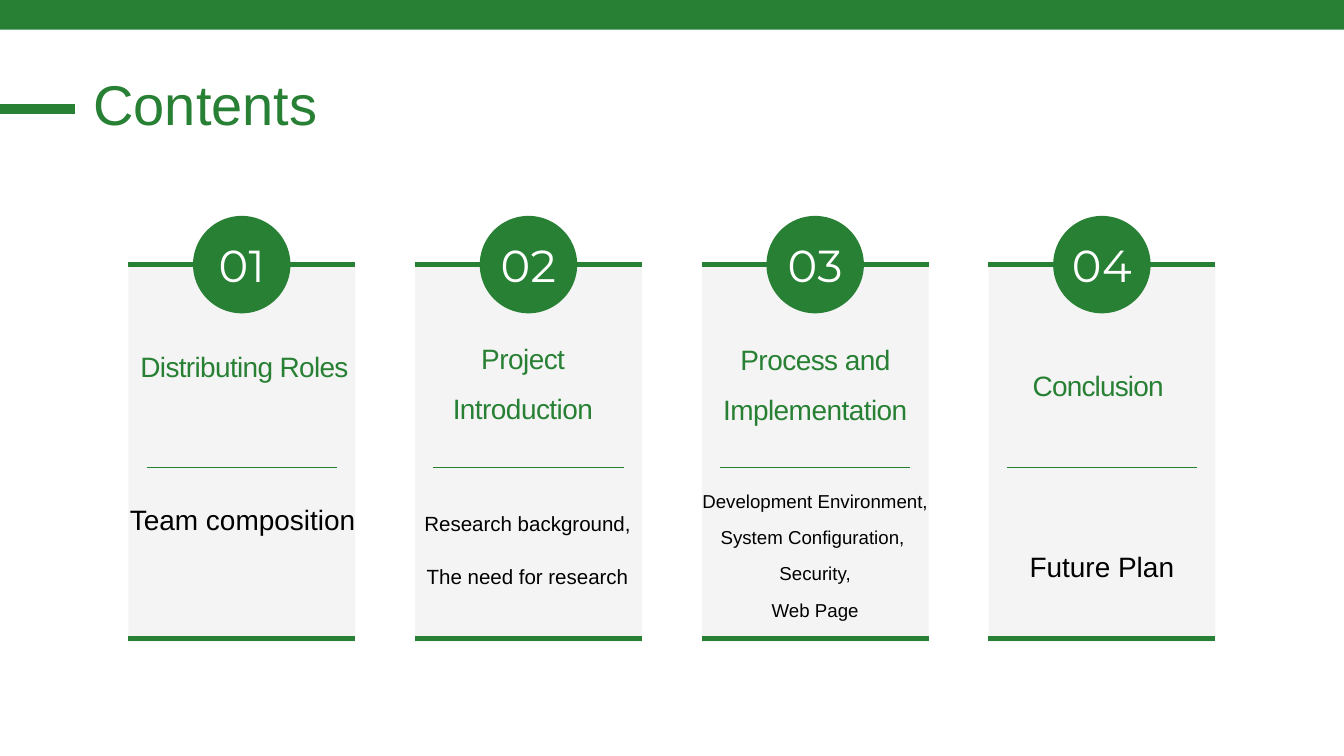
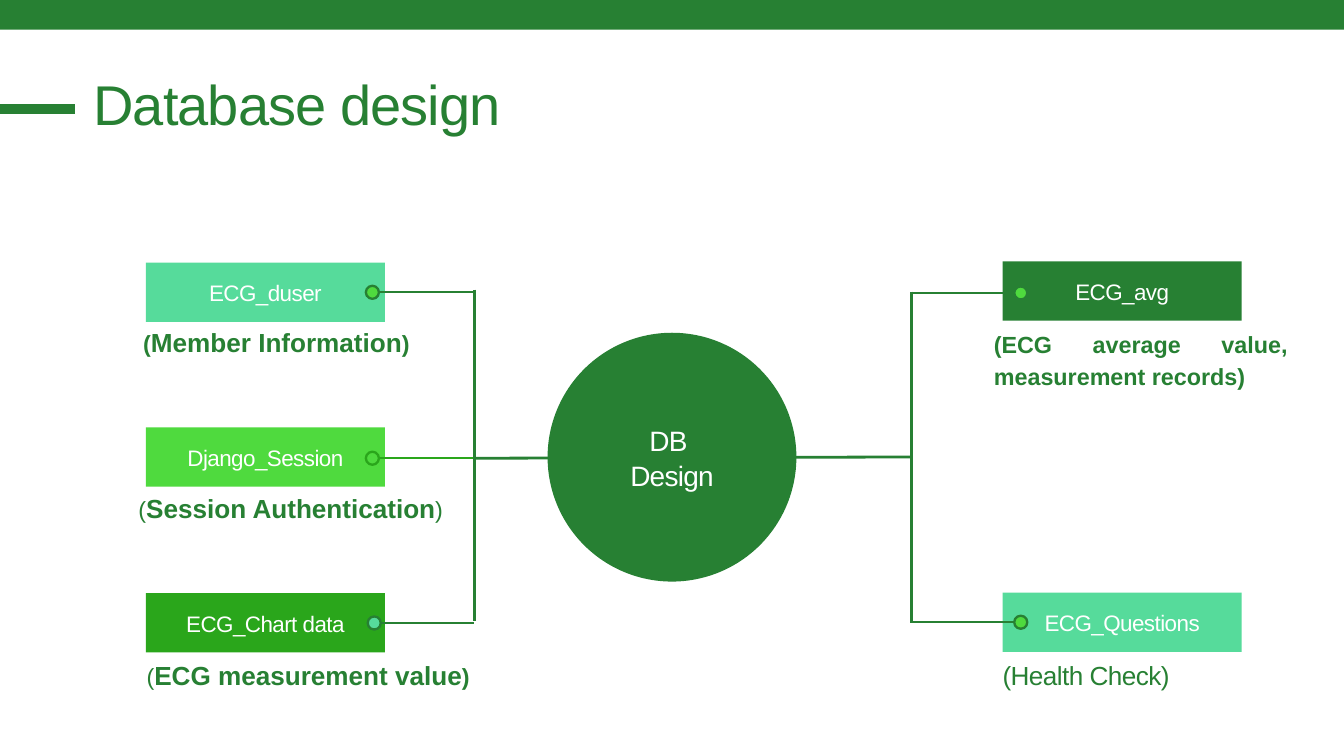
import pptx
import pptx.dml.color
import pptx.enum.shapes
import pptx.enum.text
import pptx.oxml.ns
import pptx.util
import lxml.etree

Pt = pptx.util.Pt
RGBColor = pptx.dml.color.RGBColor
SHAPES = pptx.enum.shapes.MSO_SHAPE
ALIGN = pptx.enum.text.PP_ALIGN
ANCHOR = pptx.enum.text.MSO_ANCHOR

GREEN = RGBColor(0x27, 0x80, 0x33)
LEAF = RGBColor(0x2A, 0xA6, 0x1B)
LIME = RGBColor(0x4F, 0xDA, 0x3E)
MINT = RGBColor(0x56, 0xDB, 0x9B)
PALE = RGBColor(0xF4, 0xF4, 0xF4)
WHITE = RGBColor(0xFF, 0xFF, 0xFF)
BLACK = RGBColor(0x00, 0x00, 0x00)

SLIDE_WIDTH, SLIDE_HEIGHT = 1440, 810
FONT, NUMBER_FONT = "Arial", "Montserrat"

# Contents cards: heading and body, each with (x, y) offsets in the card
CARD_WIDTH, CARD_HEIGHT, CARD_STEP = 243, 404, 307.2
CARD_LEFT, CARD_TOP = 137.5, 283.5
CARDS = [
    ("Distributing Roles", (3, 73), -0.7,
     ["Team composition"], (1, 233.5), 30, 57),
    ("Project Introduction", (-6, 64), -0.6,
     ["Research background,", "The need for research"], (-1, 233.5), 22, 57),
    ("Process and Implementation", (0, 65), -0.6,
     ["Development Environment,", "System Configuration, ", "Security,", "Web Page"],
     (0, 226), 20, 39),
    ("Conclusion", (-4, 93), -0.9, ["Future Plan"], (0, 284), 30, 57),
]

# Database tables: name, box position, fill, pin centre, pin fill, pin line
TABLE_WIDTH, TABLE_HEIGHT = 256.3, 63.5
LEFT_SPINE, RIGHT_SPINE = 508.3, 977
TABLES = [
    ("ECG_duser", (156.2, 281.5), MINT, (399, 313.2), LIME, GREEN),
    ("Django_Session", (156.2, 458), LIME, (399, 491), LIME, LEAF),
    ("ECG_Chart data", (156.2, 635.6), LEAF, (401, 667.5), MINT, GREEN),
    ("ECG_avg", (1074.2, 280), GREEN, (1093.7, 313.9), LIME, GREEN),
    ("ECG_Questions", (1074.2, 635), MINT, (1093.7, 666.7), LIME, GREEN),
]

# Captions: box, then runs of (text, size, bold, letter spacing)
CAPTIONS = [
    ((153.4, 348.5, 353.5, 32), [("(", 25, True, -0.6),
                                 ("Member Information", 28, True, 0),
                                 (")", 25, True, -0.6)]),
    ((148.3, 526.3, 358.6, 33), [("(", 25, False, -0.6),
                                 ("Session Authentication", 28, True, 0),
                                 (")", 25, False, -0.6)]),
    ((157, 705.6, 350, 33), [("(", 25, False, -0.6),
                             ("ECG measurement value", 28, True, 0),
                             (")", 25, True, -0.6)]),
    ((1064.9, 348.5, 314.6, 68), [("(", 25, True, -0.6),
                                  ("ECG average value, measurement records", 25, True, 0),
                                  (")", 25, True, -0.6)]),
    ((1074.2, 705.6, 222, 33), [("(Health Check)", 28, False, -0.6)]),
]


def format_run(run, size, color, font=FONT, bold=False, spacing=0):
    run.font.name = font
    run.font.size = Pt(size)
    run.font.bold = bold
    run.font.color.rgb = color
    if spacing:
        run._r.get_or_add_rPr().set("spc", str(round(spacing * 100)))


def write(shape, lines, size, color, line_spacing, align=ALIGN.CENTER,
          anchor=ANCHOR.TOP, wrap=True, **run_format):
    """Fill a shape with paragraphs of one style."""
    text_frame = shape.text_frame
    text_frame.margin_left = text_frame.margin_right = 0
    text_frame.margin_top = text_frame.margin_bottom = 0
    text_frame.word_wrap = wrap
    text_frame.vertical_anchor = anchor
    text_frame.text = "\n".join(lines)
    for paragraph in text_frame.paragraphs:
        paragraph.alignment = align
        paragraph.line_spacing = line_spacing
        for run in paragraph.runs:
            format_run(run, size, color, **run_format)


def add_text(slide, box, *content, **style):
    shape = slide.shapes.add_textbox(*map(Pt, box))
    write(shape, *content, **style)


def add_filled(slide, preset, box, fill, line=None, weight=0):
    shape = slide.shapes.add_shape(preset, *map(Pt, box))
    shape.shadow.inherit = False
    shape.fill.solid()
    shape.fill.fore_color.rgb = fill
    if line is None:
        shape.line.fill.background()
    else:
        shape.line.color.rgb = line
        shape.line.width = Pt(weight)
    return shape


def add_line(slide, start, end, weight, color=GREEN):
    connector = slide.shapes.add_connector(
        pptx.enum.shapes.MSO_CONNECTOR.STRAIGHT, *map(Pt, start + end))
    connector.line.color.rgb = color
    connector.line.width = Pt(weight)
    lxml.etree.SubElement(connector._element.spPr, pptx.oxml.ns.qn("a:effectLst"))


def circle_box(x, y, diameter):
    return x - diameter / 2, y - diameter / 2, diameter, diameter


def add_frame(slide, title, spacing=0):
    """Top band, title dash and title, shared by all slides."""
    add_filled(slide, SHAPES.RECTANGLE, (0, 0, SLIDE_WIDTH, 31.7), GREEN)
    add_line(slide, (0, 116.6), (80.6, 116.6), 11.25)
    add_text(slide, (100, 80, 520.5, 67), [title], 60, GREEN, Pt(66),
             align=ALIGN.LEFT, spacing=spacing)


def add_card(slide, left, top, number, card):
    heading, heading_at, spacing, body, body_at, body_size, body_line = card
    right, middle = left + CARD_WIDTH, left + CARD_WIDTH / 2
    # Panel with its top, bottom and inner rules
    add_filled(slide, SHAPES.RECTANGLE, (left, top, CARD_WIDTH, CARD_HEIGHT), PALE)
    for offset, inset, weight in ((0, 0, 5), (400.5, 0, 5), (217.6, 19.5, 1.5)):
        add_line(slide, (left + inset, top + offset), (right - inset, top + offset), weight)
    # Number badge
    badge = add_filled(slide, SHAPES.OVAL, circle_box(middle, top, 104.4), GREEN)
    write(badge, [f"{number:02}"], 48, WHITE, Pt(57.6), anchor=ANCHOR.MIDDLE,
          wrap=False, font=NUMBER_FONT, spacing=0.5)
    # Heading and body
    add_text(slide, (left + heading_at[0], top + heading_at[1], CARD_WIDTH, 103),
             [heading], 30, GREEN, 1.5, spacing=spacing)
    overhang = 7
    add_text(slide, (left + body_at[0] - overhang, top + body_at[1],
                     CARD_WIDTH + 2 * overhang, body_line * len(body)),
             body, body_size, BLACK, Pt(body_line))


def add_table_box(slide, name, position, fill):
    box = add_filled(slide, SHAPES.RECTANGLE, position + (TABLE_WIDTH, TABLE_HEIGHT), fill)
    write(box, [name], 24, WHITE, Pt(30), anchor=ANCHOR.MIDDLE, spacing=-0.6)


def add_pin(slide, center, fill, line):
    """Ringed dot with a line to the spine on its side."""
    x, y = center
    radius = 7
    on_left = x < SLIDE_WIDTH / 2
    spine, edge = (LEFT_SPINE, x + radius) if on_left else (RIGHT_SPINE, x - radius)
    add_line(slide, (edge, y), (spine, y), 2.5, line)
    add_filled(slide, SHAPES.OVAL, circle_box(x, y, 2 * radius), fill, line, 2.5)


def add_hub(slide):
    """Spines, the line between them and the central circle."""
    add_line(slide, (LEFT_SPINE, 310.3), (LEFT_SPINE, 665.3), 3)
    add_line(slide, (RIGHT_SPINE, 312.5), (RIGHT_SPINE, 667.4), 3)
    add_line(slide, (LEFT_SPINE, 491), (RIGHT_SPINE, 489.6), 3)
    hub = add_filled(slide, SHAPES.OVAL, circle_box(SLIDE_WIDTH / 2, 489.8, 266.6), GREEN)
    write(hub, ["DB ", "Design"], 30, WHITE, Pt(37.5), anchor=ANCHOR.MIDDLE, spacing=-0.8)


def add_caption(slide, box, pieces):
    text_frame = slide.shapes.add_textbox(*map(Pt, box)).text_frame
    text_frame.margin_left = text_frame.margin_right = 0
    text_frame.margin_top = text_frame.margin_bottom = 0
    text_frame.word_wrap = True
    paragraph = text_frame.paragraphs[0]
    paragraph.alignment = ALIGN.JUSTIFY
    paragraph.line_spacing = Pt(35)
    for text, size, bold, spacing in pieces:
        run = paragraph.add_run()
        run.text = text
        format_run(run, size, GREEN, bold=bold, spacing=spacing)


def build_contents(slide):
    add_frame(slide, "Contents")
    for index, card in enumerate(CARDS):
        add_card(slide, CARD_LEFT + index * CARD_STEP, CARD_TOP, index + 1, card)


def build_database(slide):
    add_frame(slide, "Database design", spacing=-1)
    for name, position, fill, center, pin_fill, pin_line in TABLES:
        add_table_box(slide, name, position, fill)
        add_pin(slide, center, pin_fill, pin_line)
    add_hub(slide)
    for box, pieces in CAPTIONS:
        add_caption(slide, box, pieces)


def main():
    presentation = pptx.Presentation()
    presentation.slide_width = Pt(SLIDE_WIDTH)
    presentation.slide_height = Pt(SLIDE_HEIGHT)
    blank = presentation.slide_layouts[6]
    for build in (build_contents, build_database):
        build(presentation.slides.add_slide(blank))
    presentation.save("out.pptx")


if __name__ == "__main__":
    main()
